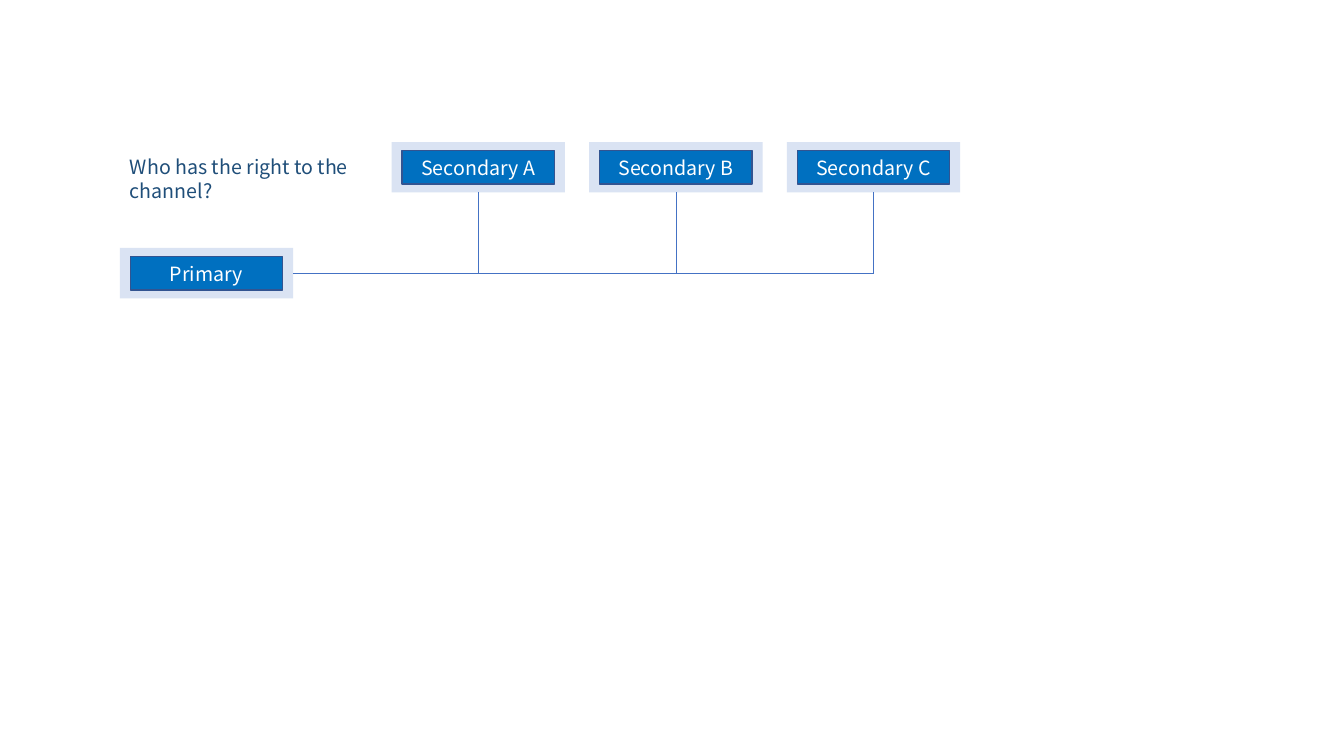
from pptx import Presentation
from pptx.dml.color import RGBColor
from pptx.enum.shapes import MSO_CONNECTOR, MSO_SHAPE
from pptx.enum.text import MSO_ANCHOR, MSO_AUTO_SIZE, PP_ALIGN
from pptx.oxml.ns import qn
from pptx.util import Cm, Pt
from lxml import etree

# Content
QUESTION = "Who has the right to the channel?"
PRIMARY = "Primary"
SECONDARIES = ["Secondary A", "Secondary B", "Secondary C"]

# Style
FONT, SIZE = "Noto Sans CJK KR", Pt(14)
COLORS = {"frame": "DAE3F3", "station": "0070C0", "border": "325491",
          "bus": "4472C4", "label": "FFFFFF", "question": "1F4E79"}

# Layout in centimetres
FRAME_W, FRAME_H = 4.37, 1.27
STATION_W, STATION_H = 3.84, 0.84
PRIMARY_X, PRIMARY_Y = 3.02, 6.25
SECONDARY_X, SECONDARY_Y, STEP = 9.87, 3.58, 4.98
BUS_Y = PRIMARY_Y + FRAME_H / 2


def color(name):
    return RGBColor.from_string(COLORS[name])


def write(s, text, name, align, anchor):
    tf = s.text_frame
    tf.text = text
    tf.word_wrap = True
    tf.auto_size = MSO_AUTO_SIZE.NONE
    tf.vertical_anchor = anchor
    p = tf.paragraphs[0]
    p.alignment = align
    p.font.name, p.font.size = FONT, SIZE
    p.font.color.rgb = color(name)


def add_rect(x, y, w, h, fill):
    s = slide.shapes.add_shape(MSO_SHAPE.RECTANGLE, Cm(x), Cm(y), Cm(w), Cm(h))
    s.shadow.inherit = False
    s.fill.solid()
    s.fill.fore_color.rgb = color(fill)
    return s


def add_station(text, x, y):
    frame = add_rect(x, y, FRAME_W, FRAME_H, "frame")
    frame.line.fill.background()
    s = add_rect(x + (FRAME_W - STATION_W) / 2, y + (FRAME_H - STATION_H) / 2,
                 STATION_W, STATION_H, "station")
    s.line.color.rgb = color("border")
    s.line.width = Pt(1)
    write(s, text, "label", PP_ALIGN.CENTER, MSO_ANCHOR.MIDDLE)


def add_line(x1, y1, x2, y2):
    c = slide.shapes.add_connector(MSO_CONNECTOR.STRAIGHT,
                                   Cm(x1), Cm(y1), Cm(x2), Cm(y2))
    c.line.color.rgb = color("bus")
    c.line.width = Pt(0.5)
    etree.SubElement(c.element.spPr, qn("a:effectLst"))


prs = Presentation()
prs.slide_width, prs.slide_height = Cm(33.87), Cm(19.05)
slide = prs.slides.add_slide(prs.slide_layouts[5])

# Question
title = slide.shapes.title
title.left, title.top, title.width, title.height = Cm(3.02), Cm(3.78), Cm(7.32), Cm(1.45)
write(title, QUESTION, "question", PP_ALIGN.LEFT, MSO_ANCHOR.TOP)

# Primary station
add_station(PRIMARY, PRIMARY_X, PRIMARY_Y)

# Secondary stations with their drops to the bus
for i, text in enumerate(SECONDARIES):
    x = SECONDARY_X + i * STEP
    add_station(text, x, SECONDARY_Y)
    drop_x = x + FRAME_W / 2
    add_line(drop_x, SECONDARY_Y + FRAME_H, drop_x, BUS_Y)

# Shared bus, ending at the last drop
add_line(PRIMARY_X + FRAME_W, BUS_Y, drop_x, BUS_Y)

prs.save("out.pptx")
